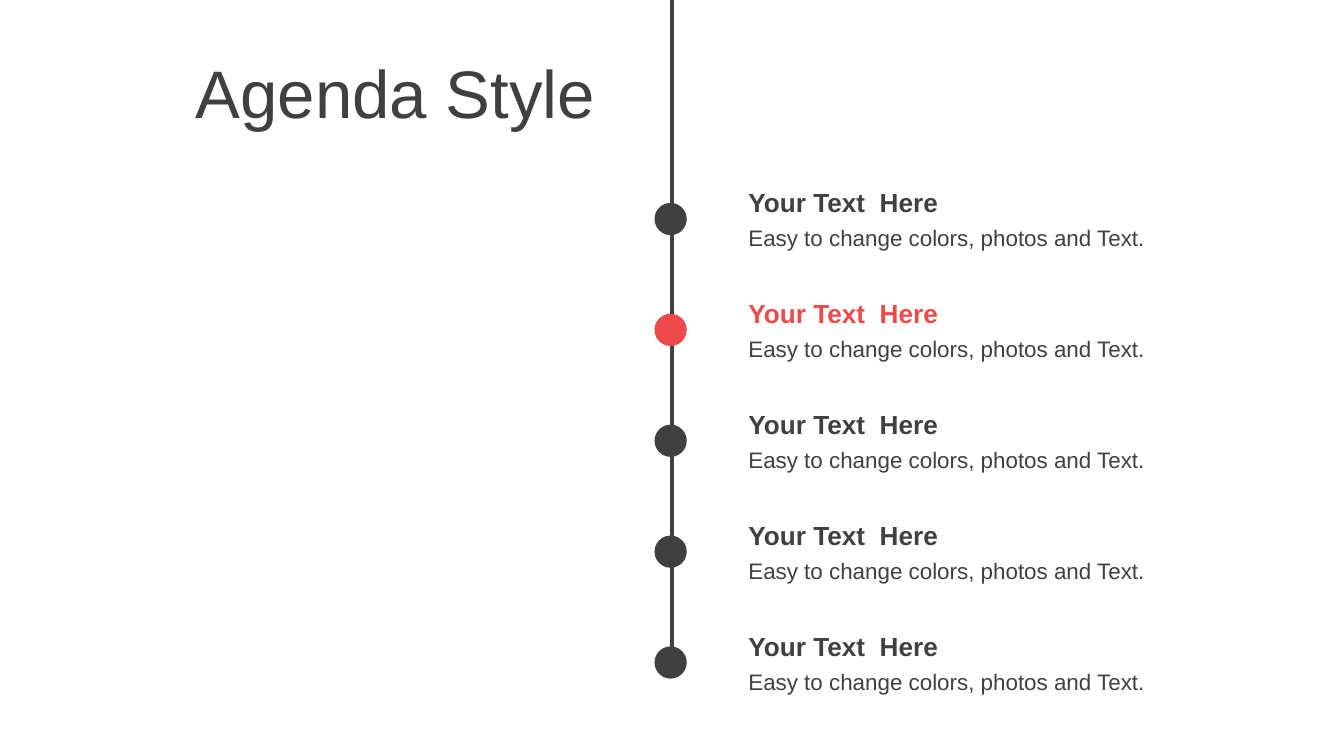
from dataclasses import dataclass

from pptx import Presentation
from pptx.dml.color import RGBColor
from pptx.enum import shapes, text
from pptx.oxml import xmlchemy
from pptx.util import Inches, Pt


@dataclass(frozen=True)
class Theme:
    """Colours, font and type sizes of the slide."""
    font: str = "Arial"
    dark: RGBColor = RGBColor(0x40, 0x40, 0x40)
    accent: RGBColor = RGBColor(0xEF, 0x4A, 0x4A)
    background: RGBColor = RGBColor(0xFF, 0xFF, 0xFF)
    title_size: int = 36
    heading_size: int = 14
    body_size: int = 12
    line_width: int = 2


THEME = Theme()
ITEMS = [("Your Text  Here", "Easy to change colors, photos and Text.")] * 5
CURRENT = 1
PITCH = 3.3 / (len(ITEMS) - 1)


def write_text(shape, words, *, size, color=THEME.dark, bold=False,
               align=text.PP_ALIGN.LEFT, anchor=text.MSO_ANCHOR.TOP,
               fit=text.MSO_AUTO_SIZE.SHAPE_TO_FIT_TEXT):
    """Put one formatted paragraph into a shape."""
    frame = shape.text_frame
    frame.word_wrap = True
    frame.auto_size = fit
    frame.vertical_anchor = anchor
    frame.text = words
    paragraph = frame.paragraphs[0]
    paragraph.alignment = align
    font = paragraph.runs[0].font
    font.name, font.size, font.bold = THEME.font, Pt(size), bold
    font.color.rgb = color


def add_title(slide, left, top, width, height):
    """Place the right-aligned title in the given box."""
    title = slide.shapes.title
    title.left, title.top = Inches(left), Inches(top)
    title.width, title.height = Inches(width), Inches(height)
    write_text(title, "Agenda Style", size=THEME.title_size,
               align=text.PP_ALIGN.RIGHT, anchor=text.MSO_ANCHOR.MIDDLE,
               fit=text.MSO_AUTO_SIZE.NONE)


def add_timeline(slide, left, top, width, height, first_dot):
    """Draw the vertical line and one dot for each agenda item."""
    center = Inches(left + width / 2 + 0.01)
    line = slide.shapes.add_connector(
        shapes.MSO_CONNECTOR.STRAIGHT, center, Inches(top), center, Inches(top + height))
    line.line.color.rgb = THEME.dark
    line.line.width = Pt(THEME.line_width)
    properties = line._element.spPr
    properties.append(xmlchemy.OxmlElement("a:effectLst"))
    for index in range(len(ITEMS)):
        dot = slide.shapes.add_shape(
            shapes.MSO_SHAPE.FLOWCHART_CONNECTOR, Inches(left),
            Inches(top + first_dot + index * PITCH), Inches(width), Inches(width))
        dot.shadow.inherit = False
        dot.fill.solid()
        dot.fill.fore_color.rgb = THEME.accent if index == CURRENT else THEME.dark
        dot.line.fill.background()


def add_item(slide, left, top, width, heading, body, color):
    """Group one agenda heading with its description."""
    group = slide.shapes.add_group_shape()
    description = group.shapes.add_textbox(
        Inches(left), Inches(top + 0.28), Inches(width), Inches(0.3))
    write_text(description, body, size=THEME.body_size)
    label = group.shapes.add_textbox(
        Inches(left), Inches(top), Inches(width), Inches(0.34))
    write_text(label, heading, size=THEME.heading_size, color=color, bold=True)


def add_agenda(slide, left, top, width):
    """Stack the agenda items at the timeline's pitch."""
    for index, (heading, body) in enumerate(ITEMS):
        color = THEME.accent if index == CURRENT else THEME.dark
        add_item(slide, left, top + index * PITCH, width, heading, body, color)


def main():
    """Build and save the agenda slide."""
    presentation = Presentation()
    presentation.slide_width = Inches(10)
    presentation.slide_height = Inches(10 * 9 / 16)
    slide = presentation.slides.add_slide(presentation.slide_layouts[5])
    slide.background.fill.solid()
    slide.background.fill.fore_color.rgb = THEME.background
    add_title(slide, 0, 0.37, 4.53, 0.63)
    add_timeline(slide, 4.87, 0, 0.24, 5.01, first_dot=1.51)
    add_agenda(slide, 5.47, 1.34, 3.86)
    presentation.save("out.pptx")


if __name__ == "__main__":
    main()
